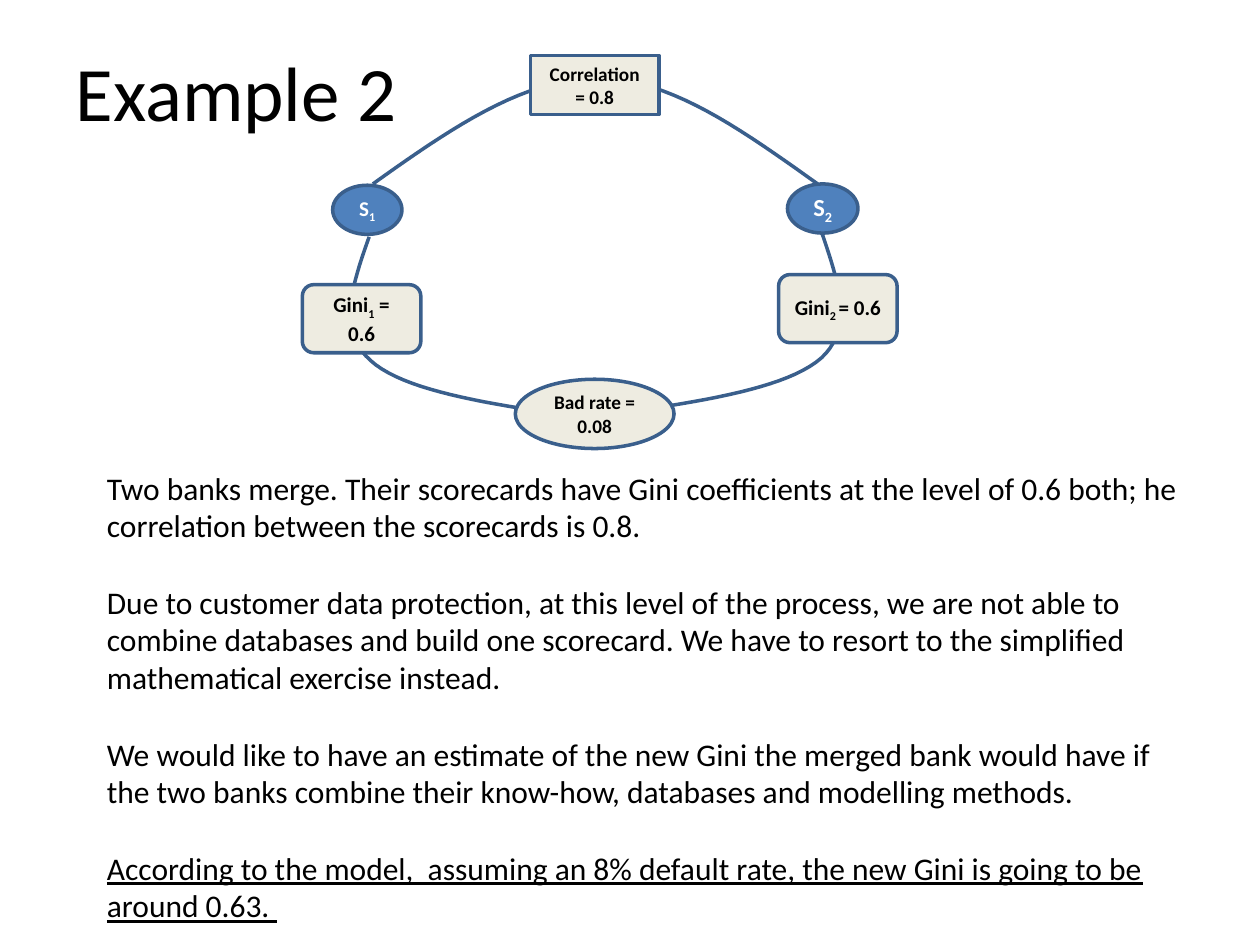
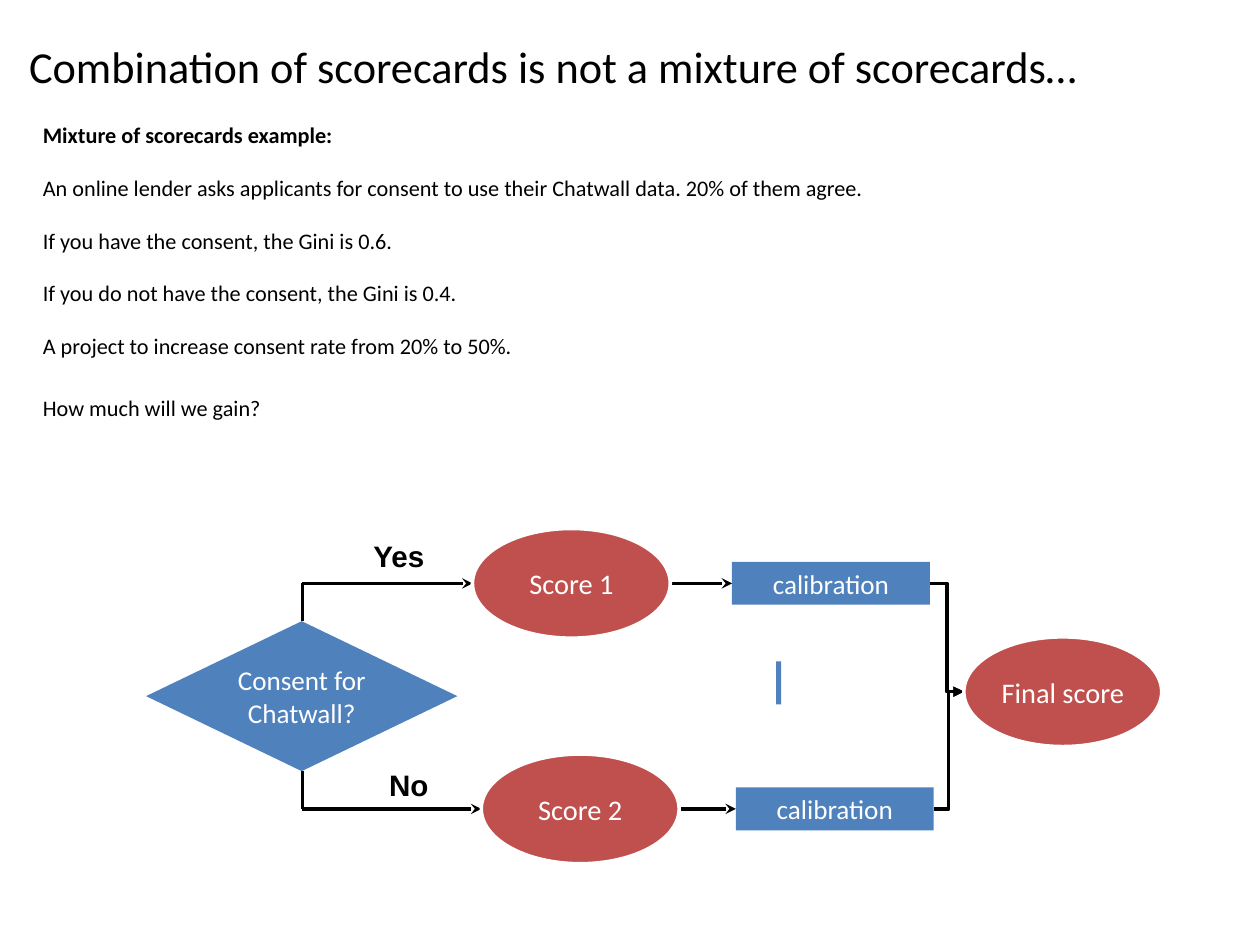
from lxml import etree
from pptx import Presentation
from pptx.dml.color import RGBColor
from pptx.enum import shapes, text
from pptx.oxml import ns
from pptx.util import Inches, Pt

COLOURS = {"blue": "4F81BD", "edge": "3A5F8C", "sand": "EEECE1",
           "red": "C0504D", "white": "FFFFFF", "black": "000000"}
SHAPE = shapes.MSO_SHAPE
LINK = shapes.MSO_CONNECTOR
ALIGN = text.PP_ALIGN
ANCHOR = text.MSO_ANCHOR

STORY = [
    "Two banks merge. Their scorecards have Gini coefficients at the level of 0.6 both; "
    "he correlation between the scorecards is 0.8.",
    "Due to customer data protection, at this level of the process, we are not able to "
    "combine databases and build one scorecard. We have to resort to the simplified "
    "mathematical exercise instead.",
    "We would like to have an estimate of the new Gini the merged bank would have if the "
    "two banks combine their know-how, databases and modelling methods.",
    [("According to the model,  assuming an 8% default rate, the new Gini is going to be "
      "around 0.63. ", {"underline": True})],
]
MIXTURE = [
    [("Mixture of scorecards example:", {"bold": True})],
    "An online lender asks applicants for consent to use their Chatwall data. "
    "20% of them agree.",
    "If you have the consent, the Gini is 0.6.",
    "If you do not have the consent, the Gini is 0.4.",
    "A project to increase consent rate from 20% to 50%.",
    "How much will we gain?",
]
SUB = {"lowered": True}
NODES = [
    (SHAPE.OVAL, (0.24, 1.03, 0.55, 0.39), "blue", 12, [("S", {}), ("1", SUB)]),
    (SHAPE.OVAL, (3.85, 1.02, 0.56, 0.39), "blue", 14, [("S", {}), ("2", SUB)]),
    (SHAPE.RECTANGLE, (1.81, 0, 1.02, 0.47), "sand", 11, "Correlation = 0.8"),
    (SHAPE.ROUNDED_RECTANGLE, (0, 1.82, 0.94, 0.54), "sand", 12,
     [("Gini", {}), ("1", SUB), (" = 0.6", {})]),
    (SHAPE.ROUNDED_RECTANGLE, (3.78, 1.74, 0.94, 0.54), "sand", 12,
     [("Gini", {}), ("2 ", SUB), ("= 0.6", {})]),
    (SHAPE.OVAL, (1.69, 2.57, 1.26, 0.55), "sand", 11, "Bad rate = 0.08"),
]
CURVES = [
    [(0.56, 1.02), (1.15, 0.6), (1.75, 0.18), (2.34, 0.18),
     (2.92, 0.18), (3.5, 0.6), (4.09, 1.02)],
    [(0.53, 1.44), (0.4, 1.81), (0.27, 2.18), (0.54, 2.42),
     (0.8, 2.66), (1.46, 2.76), (2.11, 2.86)],
    [(4.12, 1.4), (4.25, 1.78), (4.38, 2.16), (4.12, 2.4),
     (3.85, 2.64), (3.19, 2.74), (2.53, 2.84)],
]


def rgb(name):
    """Return the named colour."""
    return RGBColor.from_string(COLOURS[name])


def place(box, area):
    """Move and size a box."""
    box.left, box.top, box.width, box.height = map(Inches, area)


def write(box, paragraphs, size=18, font="Calibri", colour="black", bold=False,
          align=ALIGN.LEFT, anchor=ANCHOR.TOP, inset=None, gap=0, wrap=True):
    """Fill a box with paragraphs, each a string or a list of formatted spans."""
    frame = box.text_frame
    frame.word_wrap = wrap
    frame.auto_size = text.MSO_AUTO_SIZE.NONE
    frame.vertical_anchor = anchor
    if inset is not None:
        frame.margin_left = frame.margin_right = Inches(inset)
        frame.margin_top = frame.margin_bottom = Inches(inset)
    for index, content in enumerate(paragraphs):
        para = frame.add_paragraph() if index else frame.paragraphs[0]
        para.alignment = align
        if index:
            para.space_before = Pt(gap)
        for words, extra in [(content, {})] if isinstance(content, str) else content:
            span = para.add_run()
            span.text = words
            span.font.name, span.font.size = font, Pt(size)
            span.font.color.rgb = rgb(colour)
            span.font.bold = extra.get("bold", bold)
            span.font.underline = extra.get("underline")
            if extra.get("lowered"):
                span.font._element.set("baseline", "-25000")


def add_title(deck, words, area, **style):
    """Add a title-only page and format its title."""
    page = deck.slides.add_slide(deck.slide_layouts[5])
    place(page.shapes.title, area)
    write(page.shapes.title, [words], **style)
    return page


def add_text(page, paragraphs, area, **style):
    """Add a text box."""
    box = page.shapes.add_textbox(*map(Inches, area))
    write(box, paragraphs, **style)


def add_shape(page, kind, area, fill, edge=None, label=None, **style):
    """Add a filled preset shape with an optional centred label."""
    box = page.shapes.add_shape(kind, *map(Inches, area))
    box.shadow.inherit = False
    box.fill.solid()
    box.fill.fore_color.rgb = rgb(fill)
    if edge:
        box.line.color.rgb = rgb(edge)
        box.line.width = Pt(2)
    else:
        box.line.fill.background()
    if label:
        write(box, [label], align=ALIGN.CENTER, anchor=ANCHOR.MIDDLE, **style)


def add_link(page, start, end, kind=LINK.STRAIGHT, arrow=None):
    """Join two points with a black line, arrowed at its end if asked."""
    link = page.shapes.add_connector(kind, *map(Inches, (*start, *end)))
    link.line.color.rgb = rgb("black")
    link.line.width = Pt(2)
    if arrow:
        etree.SubElement(link.line._get_or_add_ln(), ns.qn("a:tailEnd"), type=arrow)
    etree.SubElement(link._element.spPr, ns.qn("a:effectLst"))


def bezier(points, steps=20):
    """Return points along a chain of cubic curves."""
    track = [points[0]]
    for first in range(0, len(points) - 1, 3):
        part = points[first:first + 4]
        for step in range(1, steps + 1):
            t = step / steps
            weights = ((1 - t) ** 3, 3 * t * (1 - t) ** 2, 3 * t * t * (1 - t), t ** 3)
            track.append(tuple(sum(w * p[axis] for w, p in zip(weights, part))
                               for axis in (0, 1)))
    return track


def add_curve(page, points):
    """Draw an open smooth curve."""
    track = [(Inches(x), Inches(y)) for x, y in bezier(points)]
    builder = page.shapes.build_freeform(*track[0])
    builder.add_line_segments(track[1:], close=False)
    curve = builder.convert_to_shape()
    curve.shadow.inherit = False
    curve.fill.background()
    curve.line.color.rgb = rgb("edge")
    curve.line.width = Pt(2)


def draw_ring(page, left, top):
    """Draw the ring of scorecard parameters."""
    for points in CURVES:
        add_curve(page, [(left + x, top + y) for x, y in points])
    for kind, (x, y, width, height), fill, size, label in NODES:
        add_shape(page, kind, (left + x, top + y, width, height), fill, "edge", label,
                  size=size, bold=True, colour="white" if fill == "blue" else "black")


def draw_score(page, left, middle, label):
    """Draw a red score ellipse centred on a height."""
    add_shape(page, SHAPE.OVAL, (left, middle - 0.435, 1.57, 0.87), "red", "white", label,
              size=16.2, colour="white", inset=0)


def draw_flow(page, left, top):
    """Draw the flow from the consent question to the final score."""
    label_style = {"size": 15.5, "colour": "white", "inset": 0.04}
    fork = left + 1.24
    goal = (left + 6.49, top + 1.3)
    add_shape(page, SHAPE.DIAMOND, (left, top + 0.74, 2.47, 1.19), "blue",
              label="Consent for Chatwall?", **label_style)
    branches = [("Yes", "Score 1", 0.44, 0.74, 2.59, 4.65, (1.76, 0.04, 0.49)),
                ("No", "Score 2", 2.23, 1.93, 2.66, 4.68, (1.89, 1.86, 0.39))]
    for answer, score, level, corner, score_x, step_x, (x, y, width) in branches:
        middle = top + level
        score_left, step_left = left + score_x, left + step_x
        add_link(page, (fork, top + corner), (fork, middle))
        add_link(page, (fork, middle), (score_left, middle), arrow="stealth")
        add_link(page, (score_left + 1.57, middle), (step_left, middle), arrow="stealth")
        add_link(page, (step_left + 1.57, middle), goal, LINK.ELBOW, "triangle")
        draw_score(page, score_left, middle, score)
        add_shape(page, SHAPE.RECTANGLE, (step_left, middle - 0.17, 1.57, 0.34), "blue",
                  label="calibration", **label_style)
        add_text(page, [answer], (left + x, top + y, width, 0.36), size=16.9,
                 font="Arial", bold=True, align=ALIGN.CENTER, anchor=ANCHOR.MIDDLE,
                 inset=0.04, wrap=False)
    add_shape(page, SHAPE.RECTANGLE, (left + 5, top + 1.06, 0.04, 0.34), "blue")
    draw_score(page, *goal, "Final score")


def build_example(deck):
    """Build the page on the merger of two banks."""
    page = add_title(deck, "Example 2", (0.5, 0.3, 9, 1.25), size=44)
    draw_ring(page, 2.4, 0.44)
    add_text(page, STORY, (0.75, 3.67, 8.72, 3.74), size=18, gap=22)


def build_mixture(deck):
    """Build the page on mixing scorecards."""
    page = add_title(deck, "Combination of scorecards is not a mixture of scorecards…",
                     (0.19, 0.27, 9.19, 0.5), size=25.3, anchor=ANCHOR.MIDDLE, inset=0.04)
    add_text(page, MIXTURE[:-1], (0.3, 0.92, 8.7, 2), size=12.7, inset=0.04, gap=15)
    add_text(page, MIXTURE[-1:], (0.3, 3.09, 8.7, 0.32), size=12.7, inset=0.04)
    draw_flow(page, 1.16, 4.19)


def main():
    """Build and save the deck."""
    deck = Presentation()
    deck.slide_width, deck.slide_height = Inches(10), Inches(7.5)
    build_example(deck)
    build_mixture(deck)
    deck.save("out.pptx")


if __name__ == "__main__":
    main()
